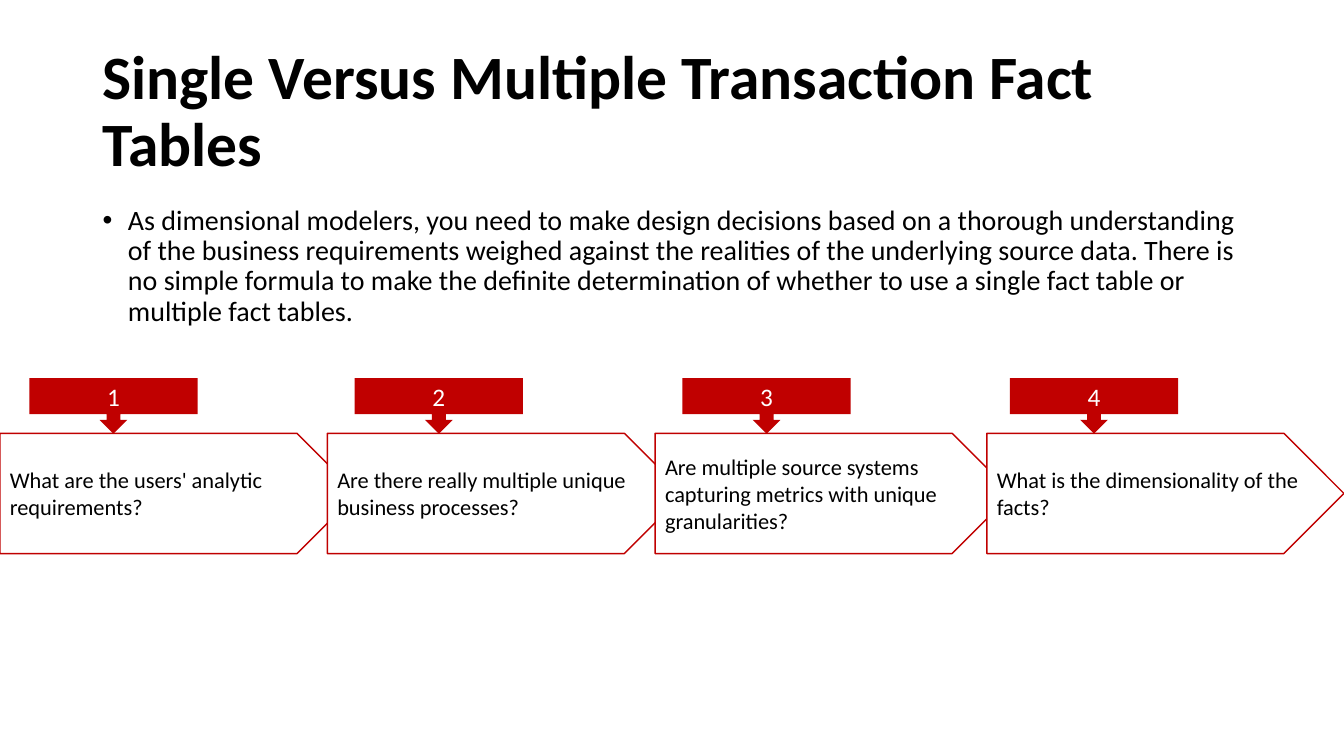
from lxml import etree
from pptx import Presentation
from pptx.dml.color import RGBColor
from pptx.enum import shapes, text
from pptx.oxml import ns
from pptx.util import Cm, Pt

HUES = {"red": "C00000", "white": "FFFFFF", "black": "000000"}

# Text formats
TITLE = {"size": Pt(44), "bold": True}
BODY = {"size": Pt(20)}
STEP = {"size": Pt(16)}
TAG = {"size": Pt(18)}

LEFT = text.PP_ALIGN.LEFT
MID = text.PP_ALIGN.CENTER

INTRO = (
    "As dimensional modelers, you need to make design decisions based on a "
    "thorough understanding of the business requirements weighed against the "
    "realities of the underlying source data. There is no simple formula to "
    "make the definite determination of whether to use a single fact table or "
    "multiple fact tables."
)

# Left edge of the step, left edge of its number, question
STEPS = [
    (0, 0.74, "What are the users' analytic requirements?"),
    (8.25, 8.94, "Are there really multiple unique business processes?"),
    (16.51, 17.2, "Are multiple source systems capturing metrics with unique granularities?"),
    (24.87, 25.45, "What is the dimensionality of the facts?"),
]


def color(name):
    return RGBColor.from_string(HUES[name])


def write(shape, words, form, hue="black", align=LEFT, anchor=text.MSO_ANCHOR.MIDDLE):
    frame = shape.text_frame
    frame.word_wrap = True
    frame.auto_size = text.MSO_AUTO_SIZE.NONE
    frame.vertical_anchor = anchor
    para = frame.paragraphs[0]
    para.alignment = align
    run = para.add_run()
    run.text = words
    for key, value in {"name": "Calibri", **form}.items():
        setattr(run.font, key, value)
    run.font.color.rgb = color(hue)
    return para


def place(shape, left, top, width, height):
    box = {"left": left, "top": top, "width": width, "height": height}
    for key, value in box.items():
        setattr(shape, key, Cm(value))


def add_bullet(para):
    props = para._p.get_or_add_pPr()
    props.set("marL", str(Cm(0.64)))
    props.set("indent", str(-Cm(0.64)))
    font = etree.SubElement(props, ns.qn("a:buFont"))
    font.set("typeface", "Arial")
    mark = etree.SubElement(props, ns.qn("a:buChar"))
    mark.set("char", "•")


def add_block(slide, kind, box, fill, line=None):
    shape = slide.shapes.add_shape(kind, *map(Cm, box))
    shape.shadow.inherit = False
    shape.fill.solid()
    shape.fill.fore_color.rgb = color(fill)
    if line:
        shape.line.color.rgb = color(line)
        shape.line.width = Pt(1)
    else:
        shape.line.fill.background()
    return shape


def add_step(slide, left, words):
    kind = shapes.MSO_SHAPE.PENTAGON
    shape = add_block(slide, kind, (left, 10.92, 9, 3.03), "white", "red")
    write(shape, words, STEP)


def add_tag(slide, left, number):
    kind = shapes.MSO_SHAPE.DOWN_ARROW_CALLOUT
    shape = add_block(slide, kind, (left, 9.53, 4.24, 1.4), "red")
    write(shape, str(number), TAG, "white", MID)


def main():
    deck = Presentation()
    deck.slide_width, deck.slide_height = Cm(33.87), Cm(19.05)
    slide = deck.slides.add_slide(deck.slide_layouts[1])

    # Title
    title = slide.shapes.title
    place(title, 2.33, 1.01, 29.21, 3.68)
    para = write(title, "Single Versus Multiple Transaction Fact Tables", TITLE)
    para.line_spacing = 0.9

    # Introduction
    body = slide.placeholders[1]
    place(body, 2.33, 5.07, 29.21, 4.75)
    para = write(body, INTRO, BODY, anchor=text.MSO_ANCHOR.TOP)
    add_bullet(para)
    para.line_spacing = 0.9
    para.space_before = Pt(0)

    # Questions, then their numbers on top
    for left, _, words in STEPS:
        add_step(slide, left, words)
    for number, (_, left, _) in enumerate(STEPS, 1):
        add_tag(slide, left, number)

    deck.save("out.pptx")


if __name__ == "__main__":
    main()
